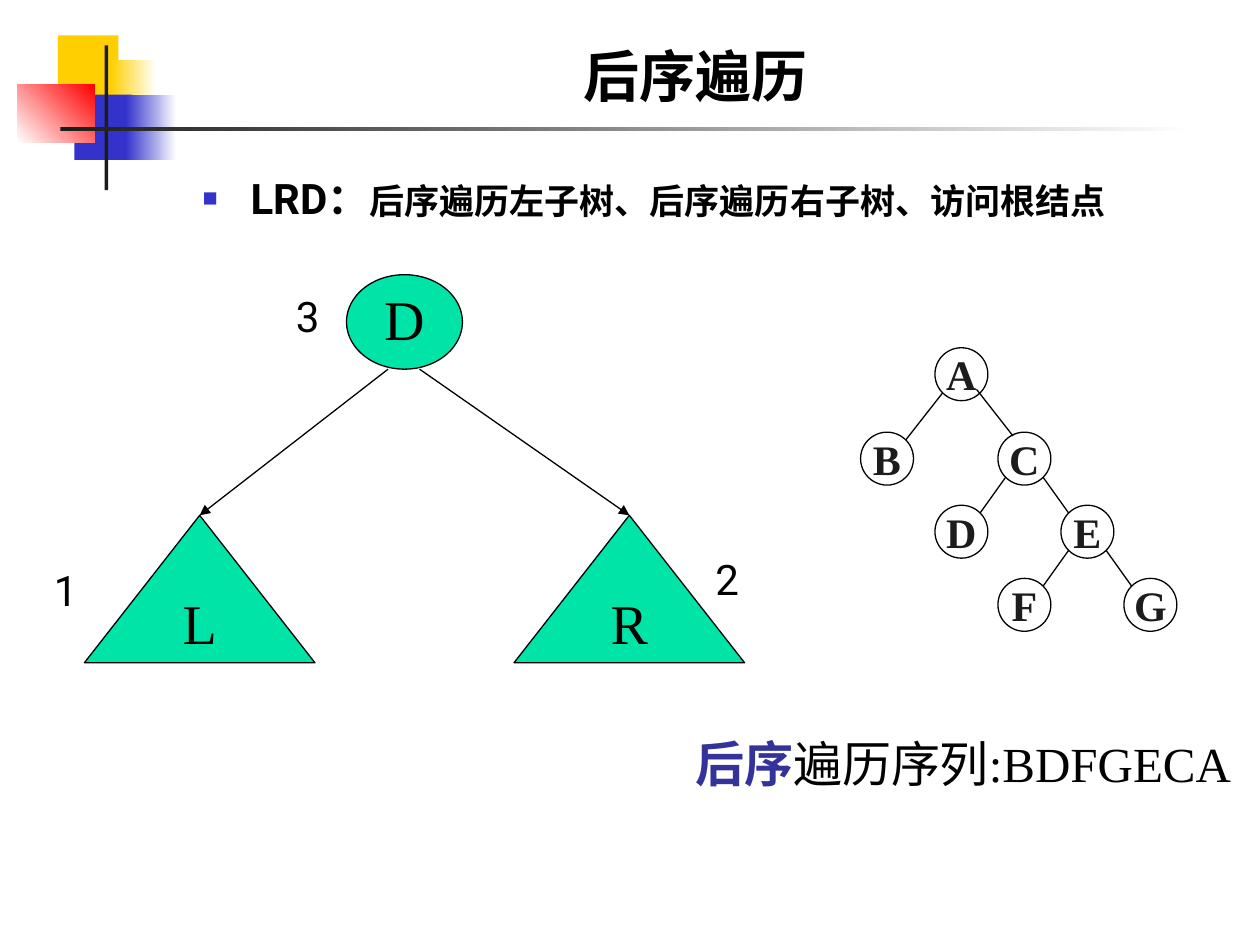
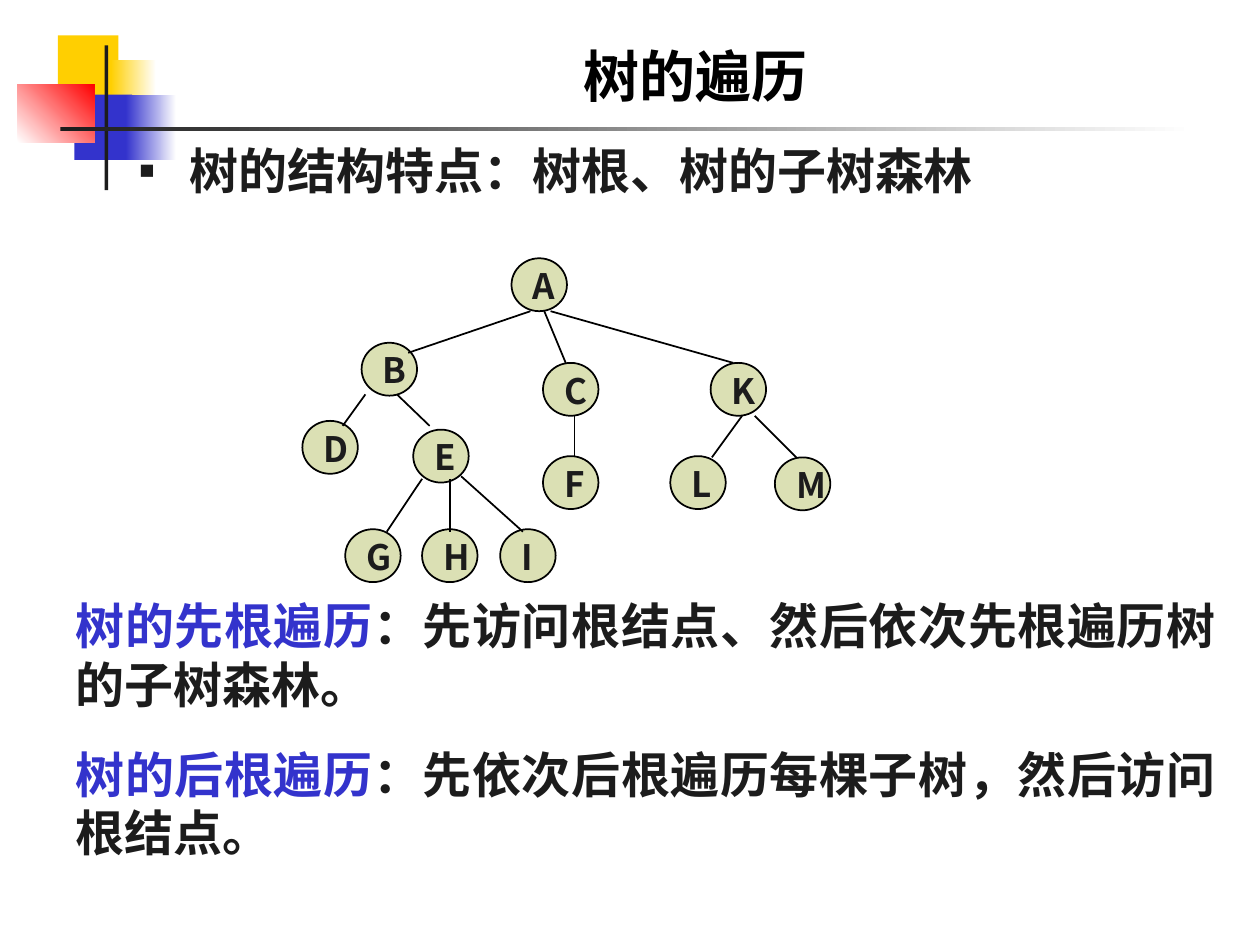
"""Build two slides on post-order binary tree traversal and general tree traversal."""
import pptx
import pptx.dml.color
import pptx.enum.shapes
import pptx.enum.text
import pptx.oxml
import pptx.oxml.ns
import pptx.util
from lxml import etree

Inches = pptx.util.Inches
Pt = pptx.util.Pt
RGBColor = pptx.dml.color.RGBColor
SHAPE = pptx.enum.shapes.MSO_SHAPE
ALIGN = pptx.enum.text.PP_ALIGN
ANCHOR = pptx.enum.text.MSO_ANCHOR
qn = pptx.oxml.ns.qn

BLACK = RGBColor(0x00, 0x00, 0x00)
WHITE = RGBColor(0xFF, 0xFF, 0xFF)
INK = RGBColor(0x1C, 0x1C, 0x1C)
YELLOW = RGBColor(0xFF, 0xCF, 0x01)
BLUE = RGBColor(0x33, 0x33, 0xCC)
INDIGO = RGBColor(0x33, 0x33, 0x99)
RED = RGBColor(0xFF, 0x00, 0x00)
GREEN = RGBColor(0x00, 0xE4, 0xA8)
OLIVE = RGBColor(0xDB, 0xE0, 0xB4)
SANS, SERIF, CJK = "Roboto", "Times New Roman", "Noto Sans CJK SC"

TITLE = {"name": SANS, "size": Pt(32), "bold": True}
LEAD = {"name": SANS, "size": Pt(24), "bold": True}
RULE = {"name": SANS, "size": Pt(20), "bold": True}
ORDER = {"name": SANS, "size": Pt(24)}
PART = {"name": SERIF, "size": Pt(32)}
SMALL_NODE = {"name": SERIF, "size": Pt(24), "bold": True}
SEQUENCE = {"name": SERIF, "size": Pt(28)}
STRONG_SEQUENCE = SEQUENCE | {"bold": True}
NODE = {"name": CJK, "size": Pt(20), "bold": True}
STATEMENT = {"name": CJK, "size": Pt(28), "bold": True}


def write(para, text, style, color):
    """Append a run with the given font values and colour."""
    span = para.add_run()
    span.text = text
    for name, value in style.items():
        setattr(span.font, name, value)
    span.font.color.rgb = color
    etree.SubElement(span.font._element, qn("a:ea"), typeface=CJK)


def draw_line(shapes, ends, width):
    """Draw a plain black connector between two points."""
    line = shapes.add_connector(
        pptx.enum.shapes.MSO_CONNECTOR.STRAIGHT, *map(Inches, ends))
    line.line.color.rgb = BLACK
    line.line.width = Pt(width)
    etree.SubElement(line._element.spPr, qn("a:effectLst"))
    return line


deck = pptx.Presentation()
deck.slide_width, deck.slide_height = Inches(10), Inches(7.5)
layout = deck.slide_layouts[5]
pages = [deck.slides.add_slide(layout) for _ in range(2)]
postorder, general = pages

ornaments = [
    ((0.46, 0.28, 0.48, 0.52), [YELLOW], 0),
    ((0.88, 0.48, 0.36, 0.52), [YELLOW, WHITE], 0),
    ((0.59, 0.75, 0.46, 0.52), [BLUE], 0),
    ((1, 0.75, 0.4, 0.52), [BLUE, WHITE], 0),
    ((0.14, 0.67, 0.61, 0.46), [WHITE, RED], 45),
    ((0.83, 0.36, 0.03, 1.15), [INK], 0),
    ((0.48, 1.01, 9, 0.03), [INK, WHITE], 0),
]
for index, (place, colors, angle) in enumerate(ornaments):
    block = postorder.shapes.add_shape(SHAPE.RECTANGLE, *map(Inches, place))
    block.shadow.inherit = False
    block.line.fill.background()
    if len(colors) == 1:
        block.fill.solid()
        block.fill.fore_color.rgb = colors[0]
    else:
        block.fill.gradient()
        block.fill.gradient_angle = angle
        for stop, color in zip(block.fill.gradient_stops, colors):
            stop.color.rgb = color
    layout.shapes.element.insert(2 + index, block._element)

for page, heading in zip(pages, ["后序遍历", "树的遍历"]):
    title = page.shapes.title
    title.left, title.top = Inches(1.26), Inches(0.23)
    title.width, title.height = Inches(8.52), Inches(0.68)
    title.text_frame.auto_size = pptx.enum.text.MSO_AUTO_SIZE.NONE
    title.text_frame.vertical_anchor = ANCHOR.BOTTOM
    para = title.text_frame.paragraphs[0]
    para.alignment = ALIGN.CENTER
    write(para, heading, TITLE, BLACK)

bulleted = [
    (postorder, (1.51, 1.32, 8.28, 0.62), "■", 60, BLUE, 0.38, BLACK, ALIGN.LEFT,
     [("LRD：", LEAD), ("后序遍历左子树、后序遍历右子树、访问根结点", RULE)]),
    (general, (1, 1.07, 7.83, 0.57), "▪", 100, INK, 0.41, INK, ALIGN.JUSTIFY,
     [("树的结构特点：树根、树的子树森林", STATEMENT)]),
]
for page, place, mark, percent, mark_color, indent, color, align, parts in bulleted:
    box = page.shapes.add_textbox(*map(Inches, place))
    box.text_frame.word_wrap = True
    para = box.text_frame.paragraphs[0]
    para.alignment = align
    properties = para._p.get_or_add_pPr()
    properties.set("marL", str(Inches(indent)))
    properties.set("indent", str(-Inches(indent)))
    tint = etree.SubElement(properties, qn("a:buClr"))
    etree.SubElement(tint, qn("a:srgbClr"), val=str(mark_color))
    etree.SubElement(properties, qn("a:buSzPct"), val=str(percent * 1000))
    etree.SubElement(properties, qn("a:buFont"), typeface=SERIF)
    etree.SubElement(properties, qn("a:buChar"), char=mark)
    for text, style in parts:
        write(para, text, style, color)

small_nodes = {"A": (7.42, 2.76), "B": (6.83, 3.43), "C": (7.92, 3.43),
               "D": (7.42, 4.01), "E": (8.42, 4.01), "F": (7.92, 4.59),
               "G": (8.92, 4.59)}
small_tree = postorder.shapes.add_group_shape()
labelled = [
    (postorder, SHAPE.OVAL, "D", (2.75, 2.18, 0.92, 0.75), GREEN, PART, BLACK),
    (postorder, SHAPE.ISOSCELES_TRIANGLE, "L", (0.67, 4.09, 1.83, 1.17), GREEN, PART, BLACK),
    (postorder, SHAPE.ISOSCELES_TRIANGLE, "R", (4.08, 4.09, 1.83, 1.17), GREEN, PART, BLACK),
] + [(small_tree, SHAPE.OVAL, letter, (*corner, 0.42, 0.42), None, SMALL_NODE, INK)
     for letter, corner in small_nodes.items()]
drawn = []
for owner, kind, letter, place, fill, style, color in labelled:
    node = owner.shapes.add_shape(kind, *map(Inches, place))
    node.shadow.inherit = False
    node.line.color.rgb = BLACK
    node.line.width = Pt(0.75)
    if fill is None:
        node.fill.background()
    else:
        node.fill.solid()
        node.fill.fore_color.rgb = fill
    node.text_frame.word_wrap = False
    node.text_frame.vertical_anchor = ANCHOR.MIDDLE
    para = node.text_frame.paragraphs[0]
    para.alignment = ALIGN.CENTER
    if style is PART:
        para.line_spacing = 0.9
    write(para, letter, style, color)
    drawn.append(node)

for subtree, start in zip(drawn[1:3], [3.08, 3.33]):
    arrow = draw_line(postorder.shapes, (start, 2.93, start, 4.09), 0.75)
    arrow.end_connect(subtree, 0)
    etree.SubElement(arrow.line._get_or_add_ln(), qn("a:tailEnd"), type="triangle")

small_edges = [(7.75, 3.09, 8.04, 3.46)]
for parent, child in ["AB", "CD", "CE", "EF", "EG"]:
    (x1, y1), (x2, y2) = small_nodes[parent], small_nodes[child]
    reach = 0.15 if x2 > x1 else -0.15
    small_edges.append((x1 + 0.21 + reach, y1 + 0.36, x2 + 0.21 - reach, y2 + 0.06))
for ends in small_edges:
    draw_line(small_tree.shapes, ends, 0.75)

for number, place in {"3": (2.25, 2.26, 0.5, 0.5), "1": (0.33, 4.43, 0.42, 0.5),
                      "2": (5.58, 4.34, 0.5, 0.5)}.items():
    box = postorder.shapes.add_textbox(*map(Inches, place))
    box.text_frame.word_wrap = True
    write(box.text_frame.paragraphs[0], number, ORDER, BLACK)

box = postorder.shapes.add_textbox(Inches(5.42), Inches(5.77), Inches(4.58), Inches(0.57))
box.text_frame.word_wrap = True
para = box.text_frame.paragraphs[0]
write(para, "后序", STRONG_SEQUENCE, INDIGO)
write(para, "遍历序列:BDFGECA", SEQUENCE, BLACK)

nodes = {"A": (4.06, 2.05), "B": (2.87, 2.72), "C": (4.31, 2.88), "K": (5.64, 2.88),
         "D": (2.4, 3.34), "E": (3.28, 3.41), "F": (4.31, 3.62), "L": (5.32, 3.62),
         "M": (6.15, 3.63), "G": (2.74, 4.2), "H": (3.35, 4.2), "I": (3.97, 4.2)}
edges = [(4.21, 2.47, 3.24, 2.8), (4.32, 2.47, 4.49, 2.88), (4.37, 2.47, 5.82, 2.88),
         (2.9, 3.13, 2.72, 3.38), (3.15, 3.13, 3.41, 3.38), (4.56, 3.3, 4.56, 3.63),
         (5.89, 3.3, 5.65, 3.63), (5.99, 3.3, 6.32, 3.63), (3.35, 3.8, 3.07, 4.22),
         (3.57, 3.8, 3.57, 4.22), (3.66, 3.78, 4.15, 4.22)]
tree = general.shapes.add_group_shape()
for letter, (left, top) in nodes.items():
    node = tree.shapes.add_shape(
        SHAPE.OVAL, Inches(left), Inches(top), Inches(0.44), Inches(0.42))
    node.shadow.inherit = False
    node.fill.solid()
    node.fill.fore_color.rgb = OLIVE
    node.line.color.rgb = BLACK
    node.line.width = Pt(1)
    box = tree.shapes.add_textbox(
        Inches(left + 0.07), Inches(top), Inches(0.44), Inches(0.44))
    box.text_frame.word_wrap = True
    write(box.text_frame.paragraphs[0], letter, NODE, INK)
for ends in edges:
    draw_line(tree.shapes, ends, 1)

definitions = {"树的先根遍历": "：先访问根结点、然后依次先根遍历树的子树森林。",
               "树的后根遍历": "：先依次后根遍历每棵子树，然后访问根结点。"}
box = general.shapes.add_textbox(Inches(0.5), Inches(4.68), Inches(9.25), Inches(2.21))
box.text_frame.word_wrap = True
for index, (term, meaning) in enumerate(definitions.items()):
    if index:
        para = box.text_frame.add_paragraph()
        para.space_before = Pt(17.5)
    else:
        para = box.text_frame.paragraphs[0]
    para.alignment = ALIGN.JUSTIFY
    write(para, term, STATEMENT, BLUE)
    write(para, meaning, STATEMENT, INK)

deck.save("out.pptx")
